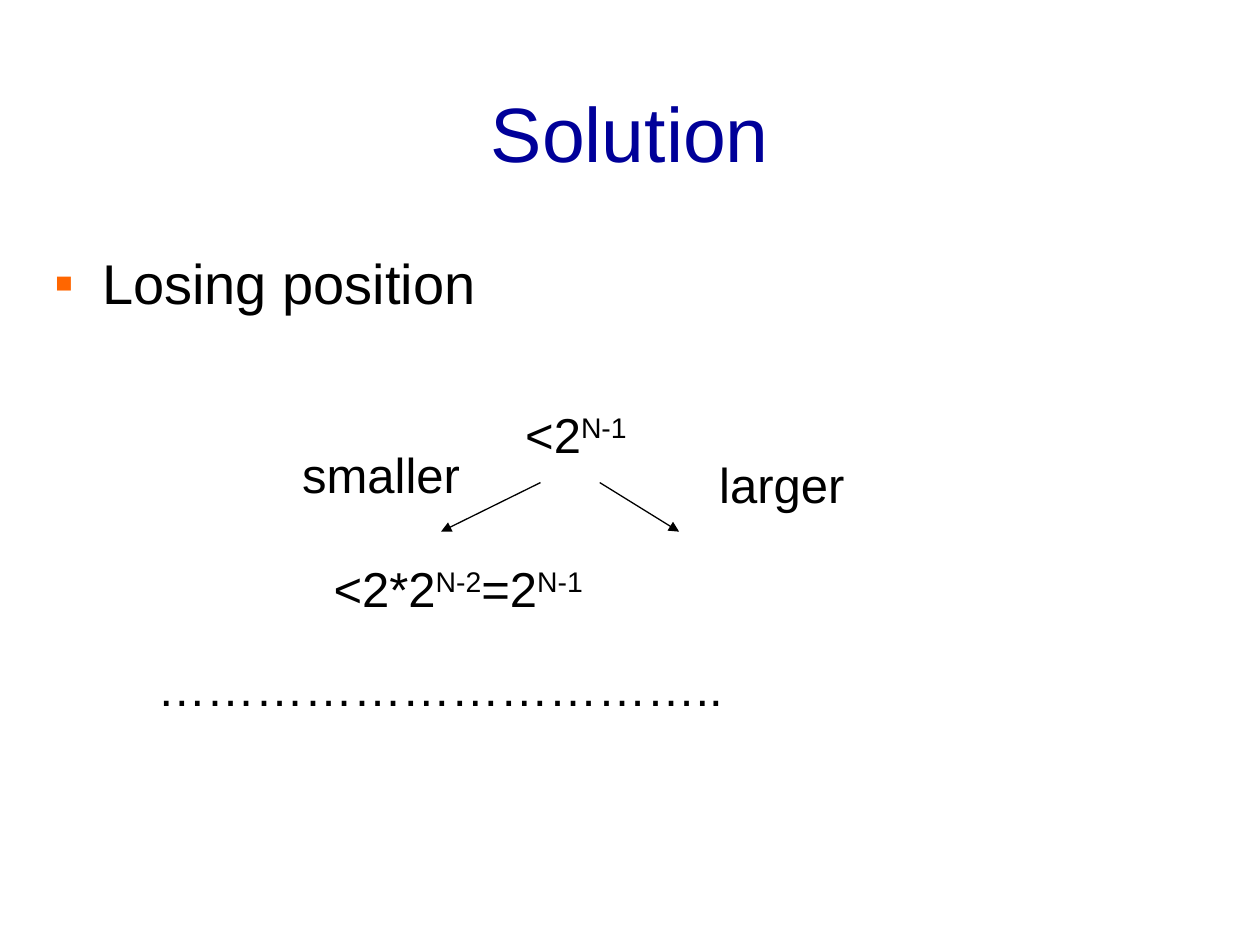
import pptx
import pptx.util
import pptx.dml.color
import pptx.enum.shapes
import pptx.enum.text
import pptx.oxml
import pptx.oxml.ns

Inches, Pt = pptx.util.Inches, pptx.util.Pt
RGBColor = pptx.dml.color.RGBColor
NAVY = RGBColor(0x00, 0x00, 0x99)
BLACK = RGBColor(0x00, 0x00, 0x00)
NS = pptx.oxml.ns.nsdecls("a")


def format_run(r, size, color):
    r.font.name = "Arial"
    r.font.size = Pt(size)
    r.font.color.rgb = color


def place(sp, left, top, width, height):
    sp.left, sp.top = Inches(left), Inches(top)
    sp.width, sp.height = Inches(width), Inches(height)


prs = pptx.Presentation()
prs.slide_width, prs.slide_height = Inches(10), Inches(7.5)
s = prs.slides.add_slide(prs.slide_layouts[1])
margin = 0.33
content_width = 10 - 2 * margin

title, body = s.shapes.title, s.placeholders[1]
for sp, text, top, height, size, color in [
    (title, "Solution", 0.42, 1.25, 44, NAVY),
    (body, "Losing position", 1.92, 0.85, 32, BLACK),
]:
    place(sp, margin, top, content_width, height)
    tf = sp.text_frame
    tf.text = text
    tf.auto_size = pptx.enum.text.MSO_AUTO_SIZE.NONE
    format_run(tf.paragraphs[0].runs[0], size, color)

title.text_frame.vertical_anchor = pptx.enum.text.MSO_ANCHOR.MIDDLE
title.text_frame.paragraphs[0].alignment = pptx.enum.text.PP_ALIGN.CENTER

p = body.text_frame.paragraphs[0]
p.space_before = Pt(8)
pPr = p._p.get_or_add_pPr()
pPr.set("marL", str(Inches(0.38)))
pPr.set("indent", str(-Inches(0.38)))
for xml in [
    f'<a:buClr {NS}><a:srgbClr val="FF6600"/></a:buClr>',
    f'<a:buFont {NS} typeface="Arial"/>',
    f'<a:buChar {NS} char="▪"/>',
]:
    pPr.append(pptx.oxml.parse_xml(xml))

labels = [
    (4.07, 3.16, 1.05, ["<2", "N-1"]),
    (2.55, 4.38, 2.2, ["<2*2", "N-2", "=2", "N-1"]),
    (5.61, 3.56, 1.19, ["larger"]),
    (2.3, 3.48, 1.45, ["smaller"]),
    (1.15, 5.17, 4.69, ["…………………………….."]),
]
for left, top, width, parts in labels:
    sp = s.shapes.add_textbox(Inches(left), Inches(top), Inches(width), Inches(0.57))
    tf = sp.text_frame
    tf.word_wrap = False
    tf.auto_size = pptx.enum.text.MSO_AUTO_SIZE.SHAPE_TO_FIT_TEXT
    for i, part in enumerate(parts):
        r = tf.paragraphs[0].add_run()
        r.text = part
        format_run(r, 28, BLACK)
        if i % 2:
            r.font._element.set("baseline", "30000")

arrow_top, arrow_bottom = Inches(3.83), Inches(4.22)
for start, end in [(4.29, 3.5), (4.76, 5.39)]:
    arrow = s.shapes.add_connector(
        pptx.enum.shapes.MSO_CONNECTOR.STRAIGHT,
        Inches(start), arrow_top, Inches(end), arrow_bottom,
    )
    arrow.line.color.rgb = BLACK
    arrow.line.width = Pt(0.75)
    arrow.line._get_or_add_ln().append(
        pptx.oxml.parse_xml(f'<a:tailEnd {NS} type="triangle"/>'))
    arrow._element.spPr.append(pptx.oxml.parse_xml(f"<a:effectLst {NS}/>"))

prs.save("out.pptx")
